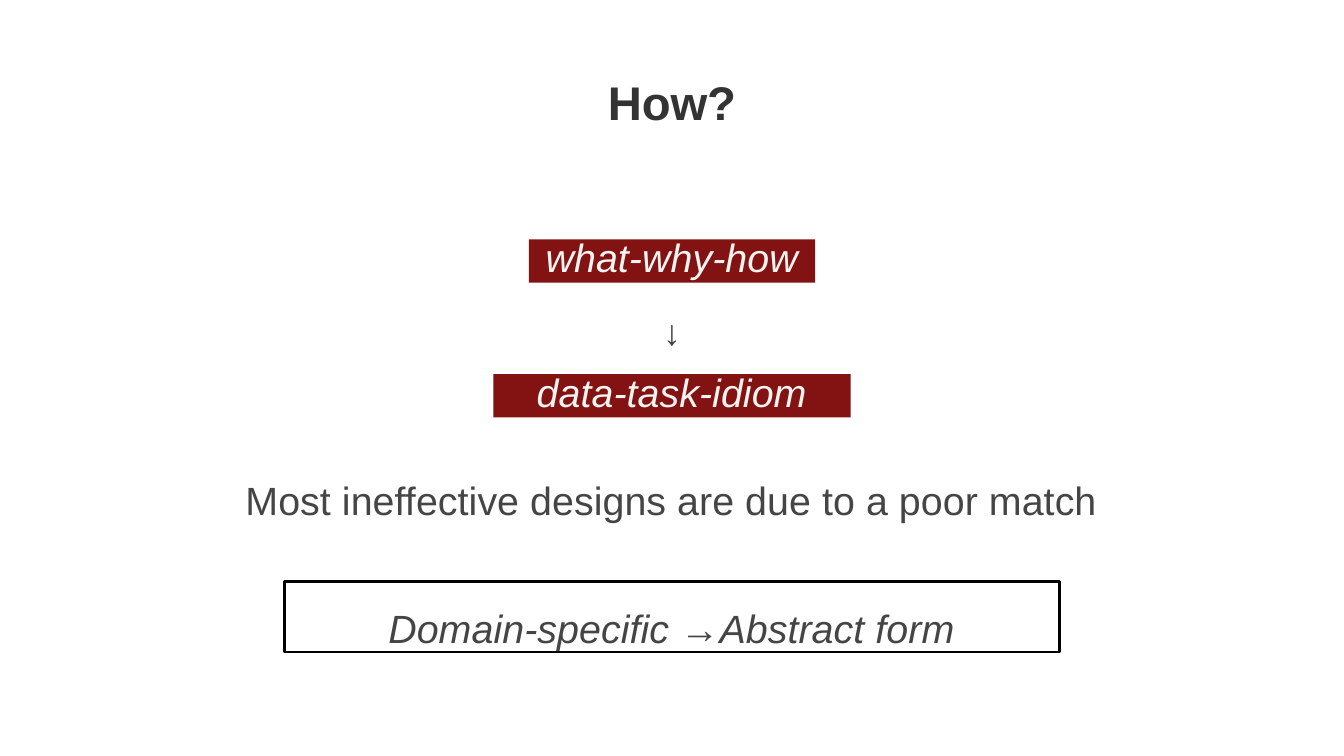
from pptx import Presentation
from pptx.dml.color import RGBColor
from pptx.enum.shapes import MSO_SHAPE
from pptx.enum.text import MSO_ANCHOR, PP_ALIGN
from pptx.util import Inches, Pt

WIDTH, HEIGHT = 18.96, 10.67
GREY, RED, CREAM = "454545", "831212", "F5F4F1"

presentation = Presentation()
presentation.slide_width = Inches(WIDTH)
presentation.slide_height = Inches(HEIGHT)
slide = presentation.slides.add_slide(presentation.slide_layouts[6])


def color(value):
    return RGBColor.from_string(value)


def add_text(text, top, width, height, fill=None, line=None, size=40, font="Arial",
             ink=GREY, bold=False, italic=False, spacing=0.1, inset=0,
             line_height=None, anchor=MSO_ANCHOR.TOP, wrap=True):
    box = [Inches(n) for n in ((WIDTH - width) / 2, top, width, height)]
    if fill or line:
        shape = slide.shapes.add_shape(MSO_SHAPE.RECTANGLE, *box)
        shape.shadow.inherit = False
    else:
        shape = slide.shapes.add_textbox(*box)
    if fill:
        shape.fill.solid()
        shape.fill.fore_color.rgb = color(fill)
    else:
        shape.fill.background()
    if line:
        shape.line.color.rgb = color(line)
        shape.line.width = Pt(2.46)
    else:
        shape.line.fill.background()
    frame = shape.text_frame
    frame.word_wrap = wrap
    frame.vertical_anchor = anchor
    frame.margin_left = frame.margin_right = frame.margin_bottom = 0
    frame.margin_top = Inches(inset)
    paragraph = frame.paragraphs[0]
    paragraph.alignment = PP_ALIGN.CENTER
    if line_height:
        paragraph.line_spacing = Pt(line_height)
    run = paragraph.add_run()
    run.text = text
    run.font.name = font
    run.font.size = Pt(size)
    run.font.bold = bold
    run.font.italic = italic
    run.font.color.rgb = color(ink)
    run._r.get_or_add_rPr().set("spc", str(round(spacing * 100)))


add_text("How?", 1.02, 17.26, 0.82, size=48, ink="333333", bold=True,
         spacing=-0.1, inset=0.01)

for label, top, width in (("what-why-how", 3.38, 4.04), ("data-task-idiom", 5.28, 5.04)):
    add_text(label, top, width, 0.61, fill=RED, ink=CREAM, italic=True, line_height=41.6)

add_text("↓", 4.33, 0.46, 0.71, size=36, font="Times New Roman", italic=True,
         spacing=0.2, inset=0.05, wrap=False)
add_text("Most ineffective designs are due to a poor match", 6.7, 14.07, 0.69, inset=0.02)
add_text("Domain-specific →Abstract form", 8.21, 10.93, 0.99, line="000000",
         italic=True, inset=0.32, anchor=MSO_ANCHOR.MIDDLE)

presentation.save("out.pptx")
